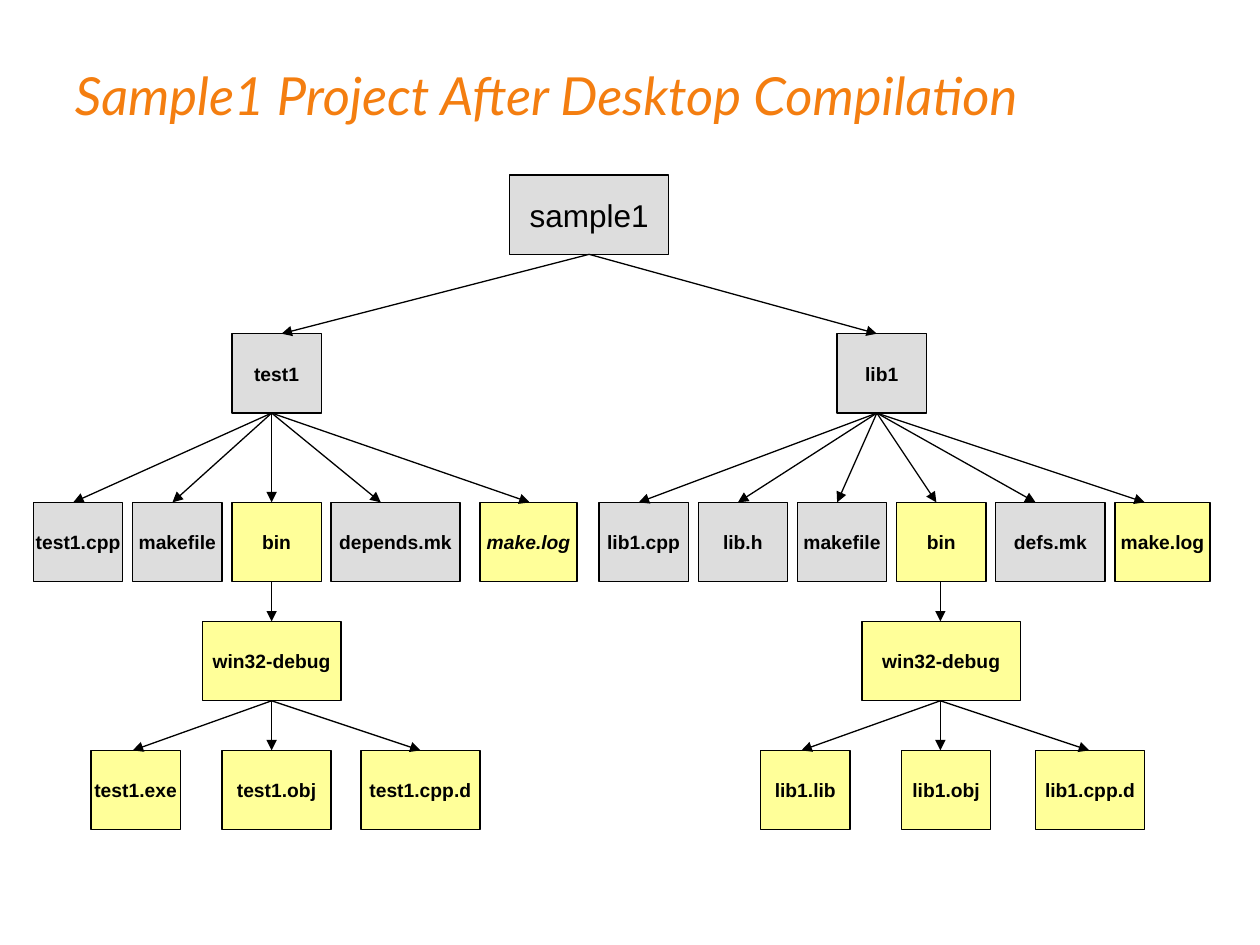
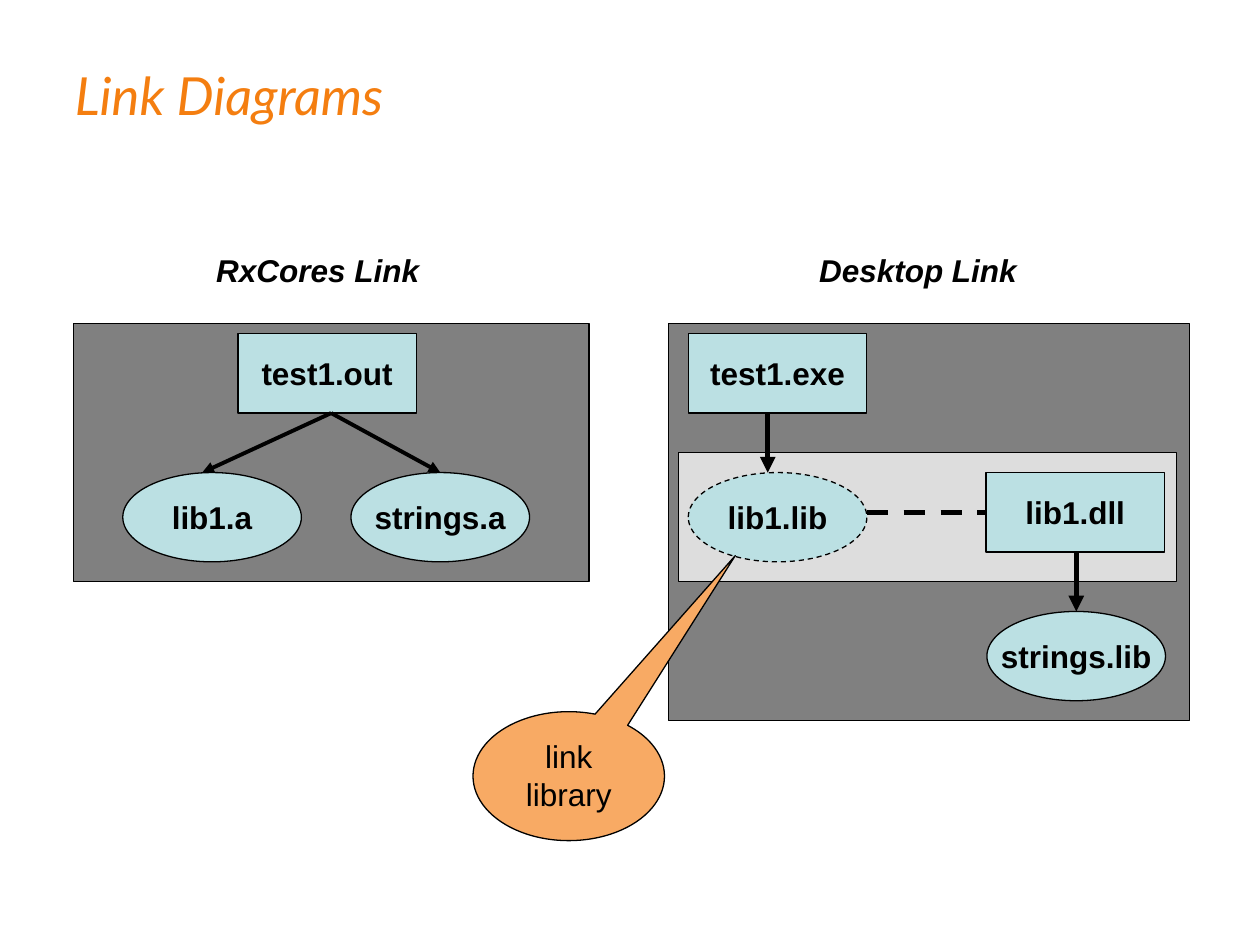
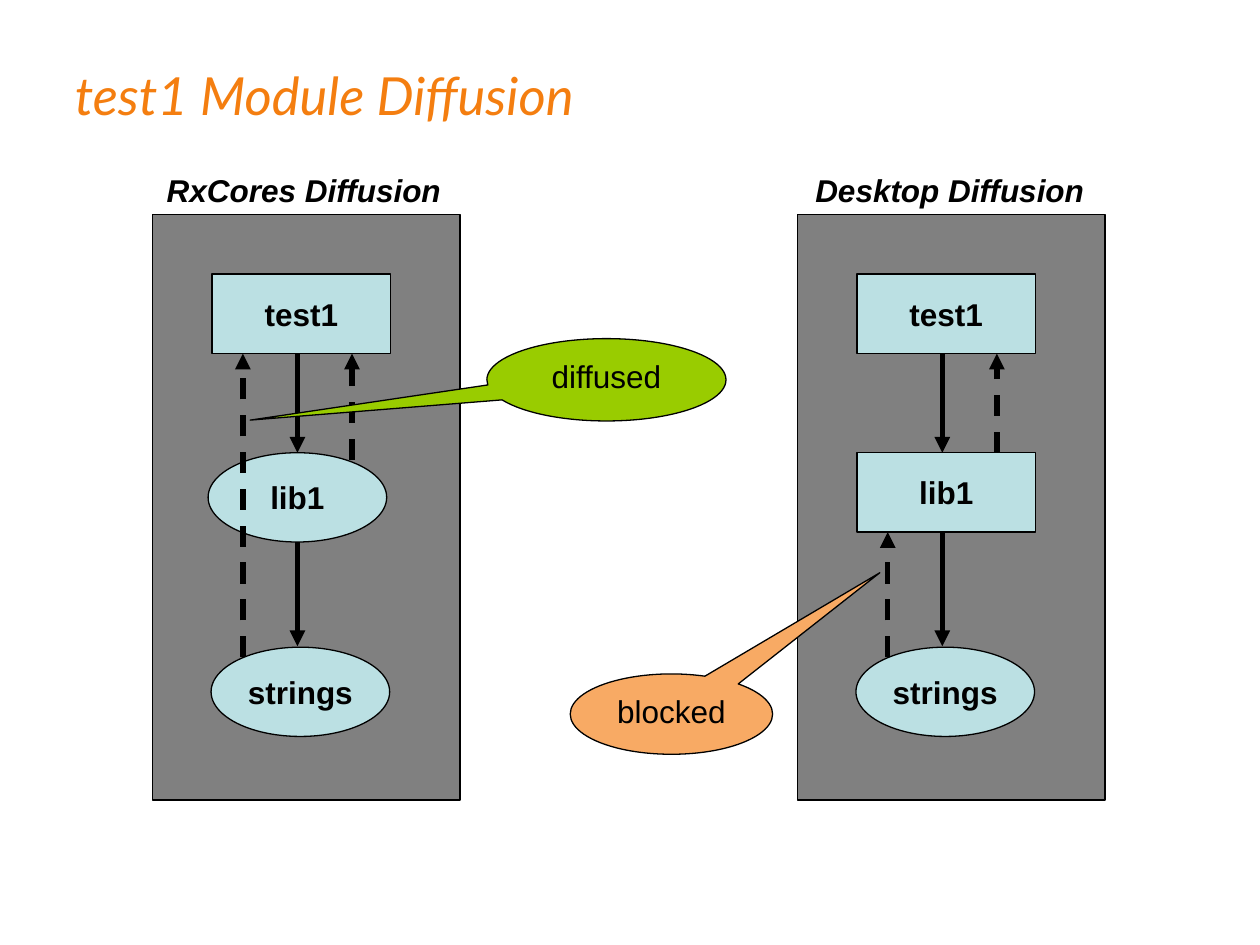
"""Build three slides on project trees, link diagrams and module diffusion."""
from dataclasses import dataclass

from lxml import etree
from pptx import Presentation
from pptx.dml.color import RGBColor
from pptx.enum.dml import MSO_LINE
from pptx.enum.shapes import MSO_CONNECTOR, MSO_SHAPE
from pptx.enum.text import MSO_ANCHOR, PP_ALIGN
from pptx.oxml.ns import qn
from pptx.util import Inches, Mm, Pt

RECT = MSO_SHAPE.RECTANGLE
OVAL = MSO_SHAPE.OVAL
CALLOUT = MSO_SHAPE.OVAL_CALLOUT
STRAIGHT = MSO_CONNECTOR.STRAIGHT
DASH = MSO_LINE.DASH
TOP, MIDDLE = MSO_ANCHOR.TOP, MSO_ANCHOR.MIDDLE
LEFT, CENTER = PP_ALIGN.LEFT, PP_ALIGN.CENTER

BLACK = RGBColor(0x00, 0x00, 0x00)
TITLE_ORANGE = RGBColor(0xF4, 0x7E, 0x10)
SILVER = RGBColor(0xDD, 0xDD, 0xDD)
GRAY = RGBColor(0x80, 0x80, 0x80)
YELLOW = RGBColor(0xFF, 0xFF, 0x99)
AQUA = RGBColor(0xBB, 0xE0, 0xE3)
APRICOT = RGBColor(0xF8, 0xAA, 0x64)
GREEN = RGBColor(0x99, 0xCC, 0x00)

BODY_FONT, TITLE_FONT = "Arial", "Lato"
CELL = Mm(2)
ORIGIN_X, ORIGIN_Y = Inches(0.03), Inches(0.05)
BOX_W, BOX_H, OVAL_H = 18, 8, 9
FILE_W = 9
THIN, MEDIUM, THICK = 0.75, 2.25, 3


@dataclass
class Node:
    """A filled shape placed by grid column and row."""
    text: str
    col: float
    row: float
    width: float = BOX_W
    height: float = BOX_H
    fill: RGBColor = AQUA
    kind: int = RECT
    size: int = 18
    bold: bool = True
    italic: bool = False
    dashed: bool = False


@dataclass
class File:
    """A file or folder in a row of the project tree."""
    name: str
    col: float
    tip: float
    width: float = FILE_W
    built: bool = False
    italic: bool = False


@dataclass
class Link:
    """A straight line between two grid points."""
    x1: float
    y1: float
    x2: float
    y2: float
    width: float = THICK
    dashed: bool = False
    arrow: bool = True


@dataclass
class Callout:
    """A speech bubble with the offsets of its tip."""
    text: str
    col: float
    row: float
    width: float
    height: float
    fill: RGBColor
    tip: tuple[float, float]


def grid_x(col: float) -> int:
    """Return the horizontal position of a grid column."""
    return int(ORIGIN_X + col * CELL)


def grid_y(row: float) -> int:
    """Return the vertical position of a grid row."""
    return int(ORIGIN_Y + row * CELL)


def grid_box(col: float, row: float, width: float, height: float) -> tuple:
    """Return left, top, width and height of a grid area."""
    return grid_x(col), grid_y(row), int(width * CELL), int(height * CELL)


def write(sp, text: str, size: int, font: str = BODY_FONT,
          color: RGBColor = BLACK, bold: bool = False, italic: bool = False,
          align=CENTER, anchor=MIDDLE, wrap: bool = False) -> None:
    """Put one formatted paragraph into a shape."""
    tf = sp.text_frame
    tf.word_wrap = wrap
    tf.vertical_anchor = anchor
    tf.text = text
    p = tf.paragraphs[0]
    p.alignment = align
    for r in p.runs:
        r.font.name = font
        r.font.size = Pt(size)
        r.font.bold = bold
        r.font.italic = italic
        r.font.color.rgb = color


def add_filled(slide, kind, area: tuple, fill: RGBColor):
    """Add a preset shape with a thin black outline."""
    sp = slide.shapes.add_shape(kind, *grid_box(*area))
    sp.shadow.inherit = False
    sp.fill.solid()
    sp.fill.fore_color.rgb = fill
    sp.line.color.rgb = BLACK
    sp.line.width = Pt(THIN)
    return sp


def add_node(slide, node: Node) -> None:
    """Draw a node and its label."""
    area = (node.col, node.row, node.width, node.height)
    sp = add_filled(slide, node.kind, area, node.fill)
    if node.dashed:
        sp.line.dash_style = DASH
    if node.text:
        write(sp, node.text, node.size, bold=node.bold, italic=node.italic)


def add_link(slide, link: Link) -> None:
    """Draw a line, with an arrowhead at its end if asked."""
    line = slide.shapes.add_connector(
        STRAIGHT, grid_x(link.x1), grid_y(link.y1),
        grid_x(link.x2), grid_y(link.y2))
    line.line.color.rgb = BLACK
    line.line.width = Pt(link.width)
    if link.dashed:
        line.line.dash_style = DASH
    if link.arrow:
        etree.SubElement(line.line._get_or_add_ln(), qn("a:tailEnd"),
                         type="triangle")
    etree.SubElement(line._element.spPr, qn("a:effectLst"))


def add_callout(slide, callout: Callout) -> None:
    """Draw a speech bubble."""
    area = (callout.col, callout.row, callout.width, callout.height)
    sp = add_filled(slide, CALLOUT, area, callout.fill)
    for i, offset in enumerate(callout.tip):
        sp.adjustments[i] = offset
    write(sp, callout.text, 18, anchor=TOP, wrap=True)


def add_heading(slide, text: str, col: float, row: float, width: float) -> None:
    """Add a bold italic heading above a panel."""
    sp = slide.shapes.add_textbox(*grid_box(col, row, width, 5))
    write(sp, text, 18, bold=True, italic=True, anchor=TOP)


def add_panel(slide, col: float, row: float, width: float, height: float,
              fill: RGBColor = GRAY) -> None:
    """Add an empty background panel."""
    add_node(slide, Node("", col, row, width, height, fill))


def add_titled_slide(prs, title: str):
    """Add a blank slide with the shared title style."""
    slide = prs.slides.add_slide(prs.slide_layouts[6])
    sp = slide.shapes.add_textbox(*grid_box(5.92, 1, 114.3, 15.88))
    write(sp, title, 30, TITLE_FONT, TITLE_ORANGE, italic=True,
          align=LEFT, wrap=True)
    return slide


def add_branch(slide, start: tuple[float, float], row: float,
               files: list[File]) -> None:
    """Draw a row of files with arrows from their parent."""
    for f in files:
        fill = YELLOW if f.built else SILVER
        add_node(slide, Node(f.name, f.col, row, f.width, fill=fill, size=11,
                             italic=f.italic))
        add_link(slide, Link(*start, f.tip, row, THIN))


def build_tree(prs) -> None:
    """Build the project tree slide."""
    slide = add_titled_slide(prs, "Sample1 Project After Desktop Compilation")
    folder_row, source_row, target_row, output_row = 33, 50, 62, 75
    add_node(slide, Node("sample1", 51, 17, 16, fill=SILVER, bold=False))
    add_branch(slide, (59, 25), folder_row,
               [File("test1", 23, 28), File("lib1", 84, 88)])
    add_branch(slide, (27, folder_row + BOX_H), source_row, [
        File("test1.cpp", 3, 7),
        File("makefile", 13, 17),
        File("bin", 23, 27, built=True),
        File("depends.mk", 33, 38, 13),
        File("make.log", 48, 53, 9.8, built=True, italic=True),
    ])
    add_branch(slide, (88, folder_row + BOX_H), source_row, [
        File("lib1.cpp", 60, 64),
        File("lib.h", 70, 74),
        File("makefile", 80, 84),
        File("bin", 90, 94, built=True),
        File("defs.mk", 100, 104, 11),
        File("make.log", 112, 115, 9.6, built=True),
    ])
    targets = [
        (27, File("win32-debug", 20, 27, 14, True),
         [File("test1.exe", 8.8, 13, FILE_W, True),
          File("test1.obj", 22, 27, 11, True),
          File("test1.cpp.d", 36, 42, 12, True)]),
        (94.4, File("win32-debug", 86.5, 94.4, 16, True),
         [File("lib1.lib", 76.3, 80.4, FILE_W, True),
          File("lib1.obj", 90.5, 94.4, FILE_W, True),
          File("lib1.cpp.d", 104, 109.4, 11, True)]),
    ]
    for axis, target, outputs in targets:
        add_branch(slide, (axis, source_row + BOX_H), target_row, [target])
        add_branch(slide, (axis, target_row + BOX_H), output_row, outputs)


def build_links(prs) -> None:
    """Build the link diagrams slide."""
    slide = add_titled_slide(prs, "Link Diagrams")
    add_heading(slide, "RxCores Link", 19.9, 24, 23.5)
    add_heading(slide, "Desktop Link", 80.2, 24, 23.9)
    add_panel(slide, 7, 32, 52, 26)
    add_panel(slide, 67, 32, 52.5, 40)
    add_panel(slide, 68, 45, 50.2, 13, SILVER)
    for node in (
        Node("test1.out", 23.6, 33),
        Node("lib1.a", 12, 47, height=OVAL_H, kind=OVAL),
        Node("strings.a", 35, 47, height=OVAL_H, kind=OVAL),
        Node("test1.exe", 69, 33),
        Node("lib1.lib", 69, 47, height=OVAL_H, kind=OVAL, dashed=True),
        Node("lib1.dll", 99, 47),
        Node("strings.lib", 99.1, 61, height=OVAL_H, kind=OVAL),
    ):
        add_node(slide, node)
    for link in (
        Link(33, 41, 20, 47, MEDIUM),
        Link(33, 41, 44, 47, MEDIUM),
        Link(77, 41, 77, 47),
        Link(87, 51, 99, 51, dashed=True, arrow=False),
        Link(108.1, 55, 108.1, 61),
    ):
        add_link(slide, link)
    add_callout(slide, Callout("link library", 47.3, 71.1, 19.3, 13, APRICOT,
                               (0.87, -1.71)))


def build_diffusion(prs) -> None:
    """Build the module diffusion slide."""
    slide = add_titled_slide(prs, "test1 Module Diffusion")
    shift = 65
    add_heading(slide, "RxCores Diffusion", 14.9, 16, 30.7)
    add_heading(slide, "Desktop Diffusion", 14.8 + shift, 16, 31.1)
    static_lib = Node("lib1", 20.6, 45, height=OVAL_H, kind=OVAL)
    shared_lib = Node("lib1", 21 + shift, 45)
    for dx, lib in ((0, static_lib), (shift, shared_lib)):
        add_panel(slide, 15 + dx, 21, 31, 59)
        add_node(slide, Node("test1", 21 + dx, 27))
        add_node(slide, lib)
        add_node(slide, Node("strings", 20.9 + dx, 64.6, height=OVAL_H,
                             kind=OVAL))
        add_link(slide, Link(29.6 + dx, 35, 29.6 + dx, 45))
        add_link(slide, Link(29.6 + dx, 45 + lib.height, 29.6 + dx, 64.5))
    for x, start, end in ((35.1, 45.7, 35), (24.1, 65.6, 35),
                          (35.1 + shift, 45, 35), (24.1 + shift, 65.6, 53)):
        add_link(slide, Link(x, start, x, end, dashed=True))
    add_callout(slide, Callout("diffused", 48.7, 33.5, 24.1, 8.3, GREEN,
                               (-1.49, 0.49)))
    add_callout(slide, Callout("blocked", 57.1, 67.3, 20.4, 8.1, APRICOT,
                               (1.03, -1.76)))


def main() -> None:
    """Build and save the presentation."""
    prs = Presentation()
    prs.slide_width, prs.slide_height = Inches(10), Inches(7.5)
    build_tree(prs)
    build_links(prs)
    build_diffusion(prs)
    prs.save("out.pptx")


if __name__ == "__main__":
    main()
